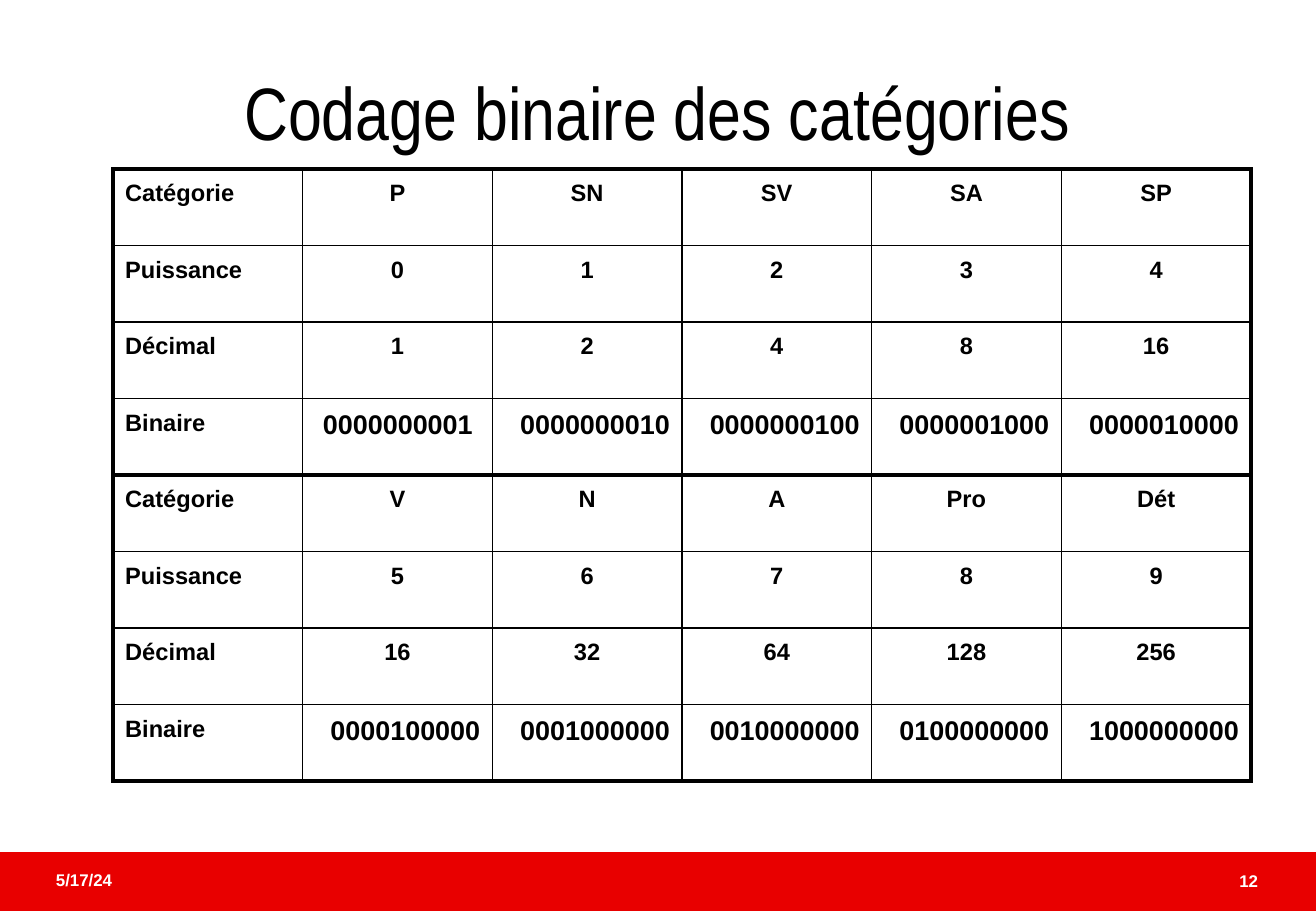
from lxml import etree
from pptx import Presentation
from pptx.dml.color import RGBColor
from pptx.enum.shapes import MSO_SHAPE
from pptx.enum.text import MSO_ANCHOR, PP_ALIGN
from pptx.oxml.ns import qn
from pptx.util import Emu, Pt

RECT = MSO_SHAPE.RECTANGLE
TOP, MIDDLE = MSO_ANCHOR.TOP, MSO_ANCHOR.MIDDLE
LEFT, CENTER, RIGHT = PP_ALIGN.LEFT, PP_ALIGN.CENTER, PP_ALIGN.RIGHT

PX = 7526  # EMU per px
COLORS = {"white": "FFFFFF", "black": "000000", "band": "E80000"}
THIN, OUTER, DIVIDER = 1, 2.25, 3  # table line widths in points
HALF = 4  # rows in each half of the table

ROWS = [
    ["Catégorie", "P", "SN", "SV", "SA", "SP"],
    ["Puissance", "0", "1", "2", "3", "4"],
    ["Décimal", "1", "2", "4", "8", "16"],
    ["Binaire", "0000000001 ", "0000000010", "0000000100", "0000001000", "0000010000"],
    ["Catégorie", "V", "N", "A", "Pro", "Dét"],
    ["Puissance", "5", "6", "7", "8", "9"],
    ["Décimal", "16", "32", "64", "128", "256"],
    ["Binaire", "0000100000", "0001000000", "0010000000", "0100000000", "1000000000"],
]


def emu(px):
    return Emu(px * PX)


def rgb(name):
    return RGBColor.from_string(COLORS[name])


def line_width(i, count, divider=None):
    """Width of the i-th grid line out of count + 1."""
    if i in (0, count):
        return OUTER
    return DIVIDER if i == divider else THIN


class Deck:
    def __init__(self, width, height, font):
        self.font = font
        self.prs = Presentation()
        self.prs.slide_width, self.prs.slide_height = emu(width), emu(height)
        self.s = self.prs.slides.add_slide(self.prs.slide_layouts[6])

    def rect(self, x, y, w, h, color):
        sp = self.s.shapes.add_shape(RECT, emu(x), emu(y), emu(w), emu(h))
        sp.shadow.inherit = False
        sp.fill.solid()
        sp.fill.fore_color.rgb = rgb(color)
        sp.line.fill.background()

    def add_text(self, tf, text, size, color, align, bold=True, font=None):
        p = tf.paragraphs[0]
        p.alignment = align
        r = p.add_run()
        r.text = text
        r.font.name = font or self.font
        r.font.size, r.font.bold = Pt(size), bold
        r.font.color.rgb = rgb(color)
        return p

    def text_box(self, x, y, w, h, text, size, color, align, anchor=TOP, **style):
        tf = self.s.shapes.add_textbox(emu(x), emu(y), emu(w), emu(h)).text_frame
        tf.word_wrap = True
        tf.vertical_anchor = anchor
        self.add_text(tf, text, size, color, align, **style)

    def borders(self, cell, widths):
        tcPr = cell._tc.get_or_add_tcPr()
        for i, (side, width) in enumerate(widths.items()):
            ln = etree.Element(qn(f"a:ln{side}"), w=str(int(Pt(width))))
            fill = etree.SubElement(ln, qn("a:solidFill"))
            etree.SubElement(fill, qn("a:srgbClr"), val=COLORS["black"])
            tcPr.insert(i, ln)

    def table(self, x, y, w, h, rows):
        nr, nc = len(rows), len(rows[0])
        table = self.s.shapes.add_table(nr, nc, emu(x), emu(y), emu(w), emu(h)).table
        table.first_row = table.horz_banding = False
        for col in table.columns:
            col.width = emu(w) // nc
        for row in table.rows:
            row.height = emu(h) // nr
        for i, row in enumerate(rows):
            for j, text in enumerate(row):
                binary = j > 0 and row[0] == "Binaire"
                align = LEFT if j == 0 else RIGHT if binary else CENTER
                cell = table.cell(i, j)
                cell.fill.background()
                p = self.add_text(cell.text_frame, text, 16 if binary else 14, "black", align)
                p.line_spacing, p.space_after = 1.2, Pt(10)
                self.borders(cell, {
                    "L": line_width(j, nc), "R": line_width(j + 1, nc),
                    "T": line_width(i, nr, HALF), "B": line_width(i + 1, nr, HALF),
                })


def main():
    deck = Deck(1316, 911, "Arial")

    # Footer band, date and slide number
    deck.rect(0, 852, 1316, 59, "band")
    deck.text_box(44, 864, 275, 61, "5/17/24", 10, "white", LEFT)
    deck.text_box(995, 865, 275, 61, "12", 10, "white", RIGHT)

    # Title
    deck.text_box(98, 35, 1119, 152, "Codage binaire des catégories", 44, "black", CENTER,
                  MIDDLE, bold=False, font="Arial Narrow")

    # Category coding table
    deck.table(113, 169, 1138, 612, ROWS)

    deck.prs.save("out.pptx")


if __name__ == "__main__":
    main()
